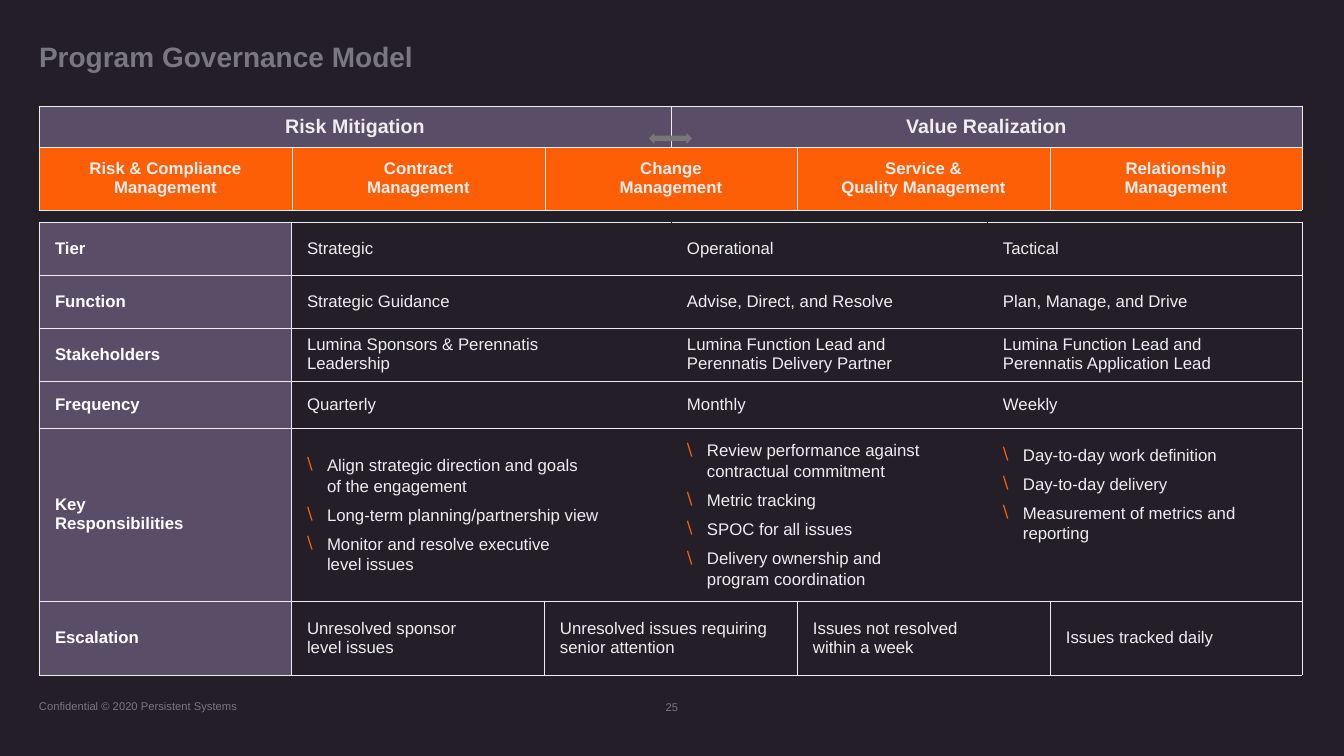
from pptx import Presentation
from pptx.dml.color import RGBColor
from pptx.enum.shapes import MSO_SHAPE
from pptx.enum.text import MSO_ANCHOR as ANCHOR, MSO_AUTO_SIZE, PP_ALIGN as ALIGN
from pptx.oxml import parse_xml
from pptx.oxml.ns import nsdecls
from pptx.util import Pt

PX = 914400 / 100.8
COLOR = {
    "night": "231E28",
    "purple": "5A4D67",
    "orange": "FD5F07",
    "light": "EEEEEE",
    "white": "FFFFFF",
    "gray": "79787F",
    "arrow": "777777",
}


def write(frame, text, size=12, color="light", bold=False, align=ALIGN.LEFT,
          anchor=ANCHOR.MIDDLE, margins=(0, 0, 0, 0), bullets=False, spacing=None):
    frame.text = text
    frame.vertical_anchor = anchor
    frame.margin_left, frame.margin_top, frame.margin_right, frame.margin_bottom = (
        round(margin * PX) for margin in margins)
    for index, paragraph in enumerate(frame.paragraphs):
        if bullets:
            properties = paragraph._p.get_or_add_pPr()
            properties.set("marL", str(round(20 * PX)))
            properties.set("indent", str(round(-20 * PX)))
            properties.append(parse_xml(
                f'<a:buClr {nsdecls("a")}><a:srgbClr val="{COLOR["orange"]}"/></a:buClr>'))
            properties.append(parse_xml(f'<a:buChar {nsdecls("a")} char="\\"/>'))
            paragraph.space_before = Pt(6 if index else 0)
        paragraph.alignment = align
        if spacing:
            paragraph.line_spacing = spacing
        for run in paragraph.runs:
            run.font.name = "Arial"
            run.font.size = Pt(size)
            run.font.bold = bold
            run.font.color.rgb = RGBColor.from_string(COLOR[color])


def draw_table(top, widths, heights, rows):
    table = slide.shapes.add_table(
        len(heights), len(widths), round(39 * PX), round(top * PX),
        round(sum(widths) * PX), round(sum(heights) * PX)).table
    table.first_row = table.horz_banding = False
    for column, width in zip(table.columns, widths):
        column.width = round(width * PX)
    for row, height in zip(table.rows, heights):
        row.height = round(height * PX)
    for row_index, row in enumerate(rows):
        start = 0
        for text, span, fill, edges, style in row:
            cells = [table.cell(row_index, start + offset) for offset in range(span)]
            for cell in cells:
                properties = cell._tc.get_or_add_tcPr()
                for side, edge in zip("LRTB", edges):
                    properties.append(parse_xml(
                        f'<a:ln{side} {nsdecls("a")} w="6350"><a:solidFill>'
                        f'<a:srgbClr val="{COLOR[edge]}"/></a:solidFill></a:ln{side}>'))
                cell.fill.solid()
                cell.fill.fore_color.rgb = RGBColor.from_string(COLOR[fill])
            if span > 1:
                cells[0].merge(cells[-1])
            write_cell = cells[0]
            write(write_cell.text_frame, text, **style)
            write_cell.vertical_anchor = style.get("anchor", ANCHOR.MIDDLE)
            (write_cell.margin_left, write_cell.margin_top,
             write_cell.margin_right, write_cell.margin_bottom) = (
                round(margin * PX) for margin in style["margins"])
            start += span


deck = Presentation()
deck.slide_width = round(1344 * PX)
deck.slide_height = round(756 * PX)
slide = deck.slides.add_slide(deck.slide_layouts[5])
slide.background.fill.solid()
slide.background.fill.fore_color.rgb = RGBColor.from_string(COLOR["night"])

title = slide.shapes.title
title.left, title.top, title.width, title.height = (
    round(length * PX) for length in (39, 39, 1263, 39))
write(title.text_frame, "Program Governance Model", size=20, color="gray", bold=True, spacing=0.9)
title.text_frame.auto_size = MSO_AUTO_SIZE.NONE

for text, box, align, wrap in [
    ("Confidential © 2020 Persistent Systems", (39, 700, 200, 13), ALIGN.LEFT, False),
    ("25", (521, 687, 302, 40), ALIGN.CENTER, True),
]:
    footer = slide.shapes.add_textbox(*(round(length * PX) for length in box)).text_frame
    footer.word_wrap = wrap
    write(footer, text, size=8, color="gray", align=align)

framed = ("light",) * 4
theme_style = dict(size=14, bold=True, align=ALIGN.CENTER, margins=(10, 5, 10, 5))
discipline_style = dict(theme_style, size=12)
themes = [(text, 3, "purple", framed, theme_style)
          for text in ("Risk Mitigation", "Value Realization")]
disciplines = [(text, span, "orange", framed, discipline_style) for text, span in [
    ("Risk & Compliance Management", 1),
    ("Contract\vManagement", 1),
    ("Change\vManagement", 2),
    ("Service &\vQuality Management", 1),
    ("Relationship\vManagement", 1),
]]
draw_table(106, [253, 253, 126, 126, 253, 252], [41, 63], [themes, disciplines])

arrow = slide.shapes.add_shape(
    MSO_SHAPE.LEFT_RIGHT_ARROW, *(round(length * PX) for length in (649, 133, 43, 11)))
arrow.shadow.inherit = False
arrow.fill.solid()
arrow.fill.fore_color.rgb = RGBColor.from_string(COLOR["arrow"])
arrow.line.fill.background()

body_style = dict(margins=(16, 5, 10, 5))
label_style = dict(body_style, color="white", bold=True)
duty_style = dict(body_style, bullets=True, spacing=1.1)
last_duty_style = dict(duty_style, anchor=ANCHOR.TOP, margins=(16, 16, 10, 5))
tier_edges = [
    ("light", "night", "light", "light"),
    ("night", "night", "light", "light"),
    ("night", "light", "light", "light"),
]
governance = [
    ("Tier", "Strategic", "Operational", "Tactical"),
    ("Function", "Strategic Guidance", "Advise, Direct, and Resolve", "Plan, Manage, and Drive"),
    ("Stakeholders", "Lumina Sponsors & Perennatis\nLeadership",
     "Lumina Function Lead and\nPerennatis Delivery Partner",
     "Lumina Function Lead and\nPerennatis Application Lead"),
    ("Frequency", "Quarterly", "Monthly", "Weekly"),
    ("Key\vResponsibilities",
     "Align strategic direction and goals\vof the engagement\n"
     "Long-term planning/partnership view\n"
     "Monitor and resolve executive\vlevel issues",
     "Review performance against contractual commitment\nMetric tracking\n"
     "SPOC for all issues\nDelivery ownership and\vprogram coordination",
     "Day-to-day work definition\nDay-to-day delivery\nMeasurement of metrics and reporting"),
]
rows = []
for label, *tiers in governance:
    styles = [body_style] * 3
    if label.startswith("Key"):
        styles = [duty_style, duty_style, last_duty_style]
    rows.append([(label, 1, "purple", framed, label_style)] + [
        (text, 2, "night", edges, style)
        for text, edges, style in zip(tiers, tier_edges, styles)])
rows.append([("Escalation", 1, "purple", framed, label_style)] + [
    (text, span, "night", framed, body_style) for text, span in [
        ("Unresolved sponsor\vlevel issues", 1),
        ("Unresolved issues requiring senior attention", 2),
        ("Issues not resolved\vwithin a week", 2),
        ("Issues tracked daily", 1),
    ]])
draw_table(222, [252, 253, 127, 126, 190, 63, 252], [53, 53, 53, 47, 173, 74], rows)

deck.save("out.pptx")
